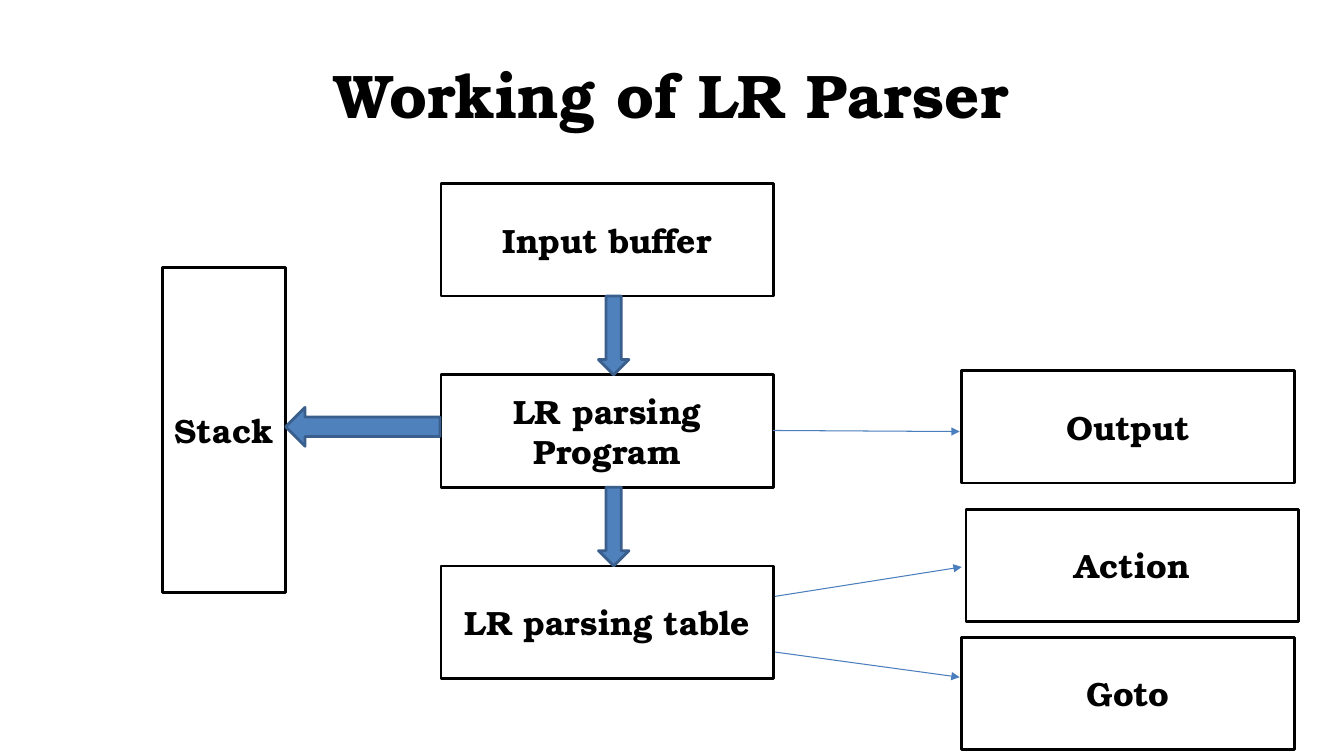
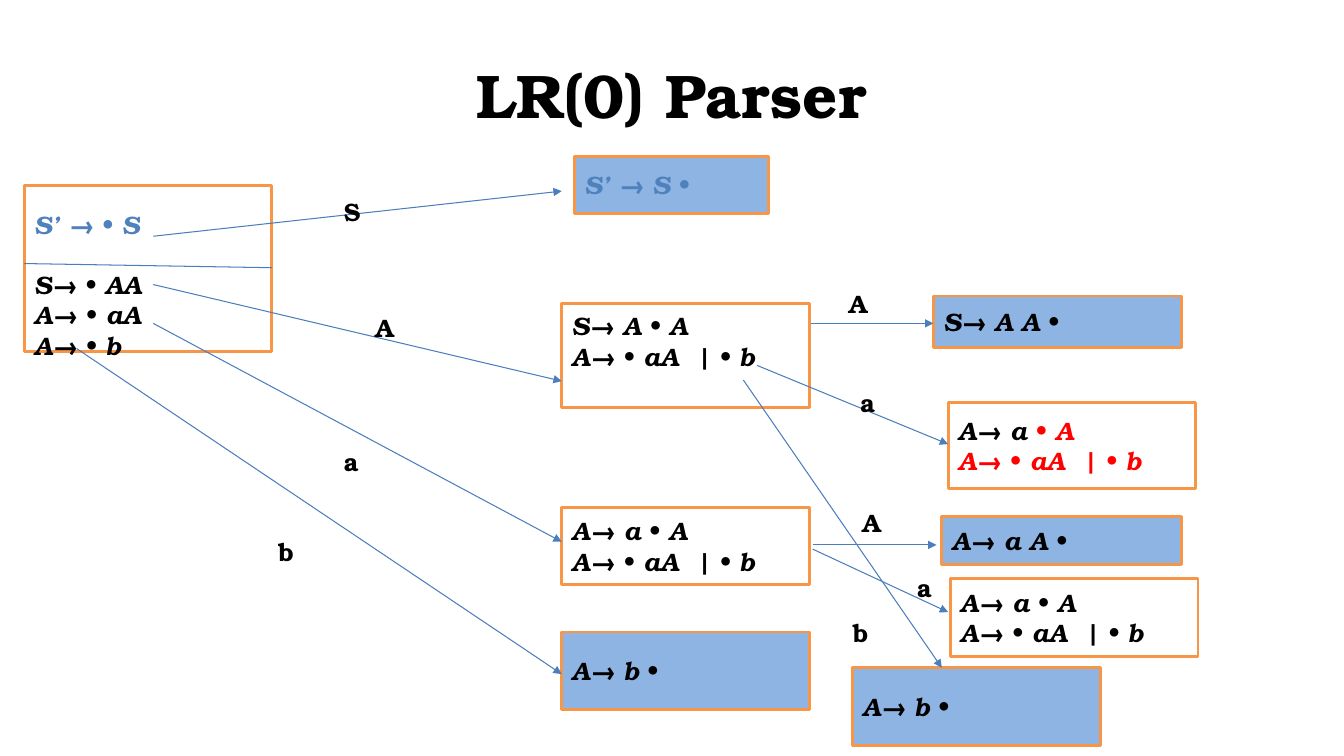
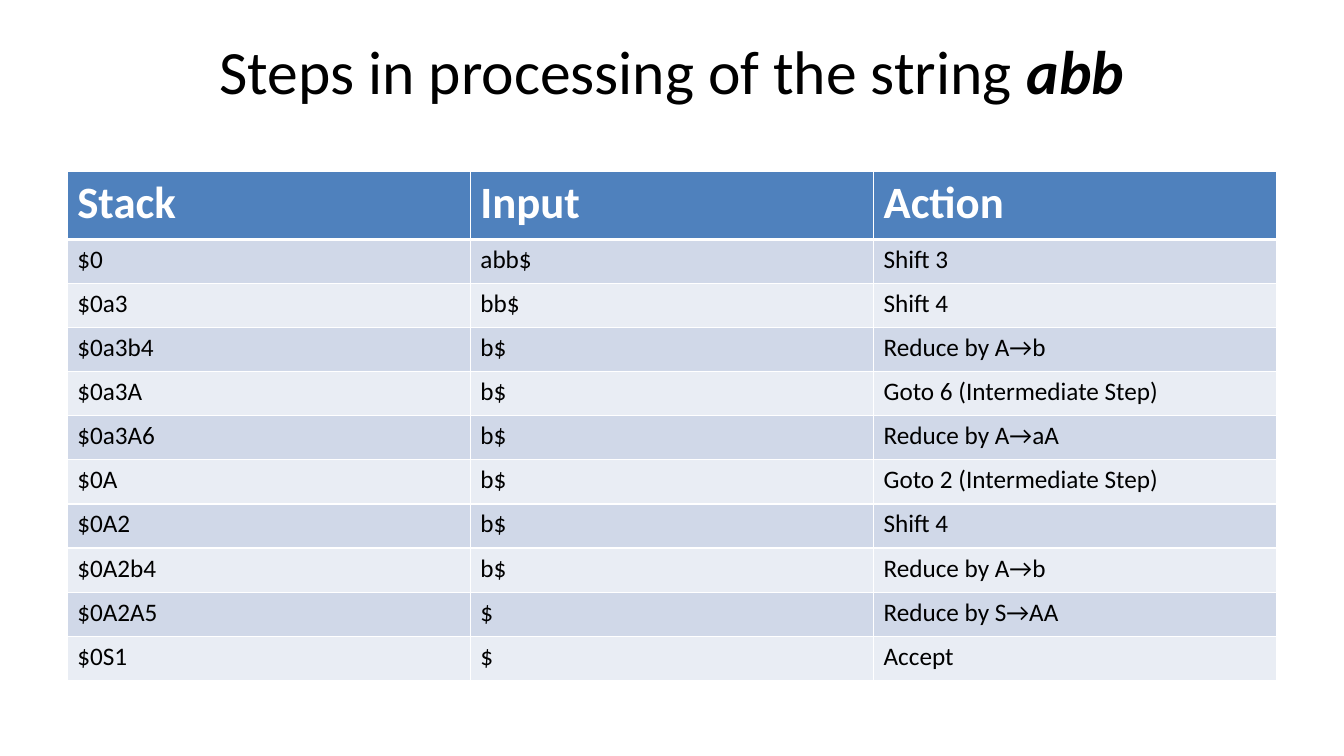
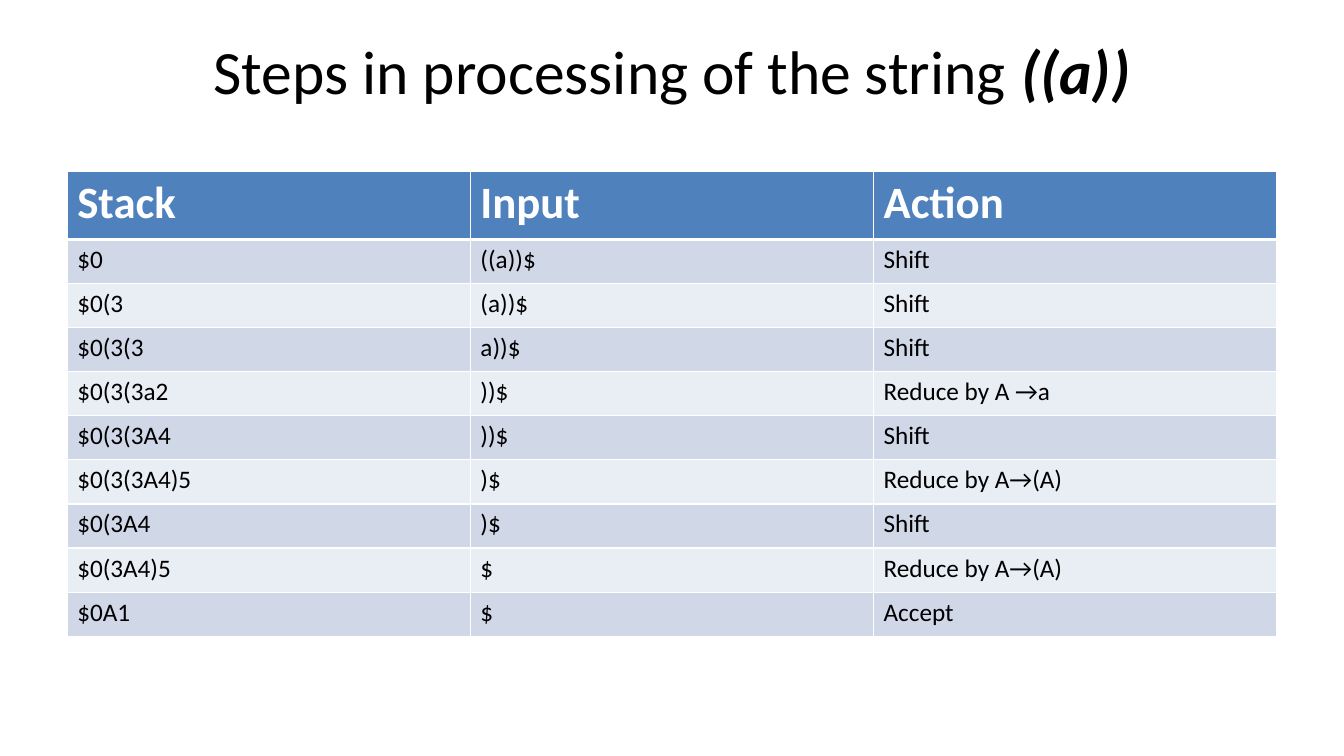
import lxml.etree
import pptx
import pptx.dml.color
import pptx.enum.shapes
import pptx.enum.text
import pptx.oxml.ns
import pptx.util

RGBColor = pptx.dml.color.RGBColor
BLACK = RGBColor(0x00, 0x00, 0x00)
WHITE = RGBColor(0xFF, 0xFF, 0xFF)
RED = RGBColor(0xFF, 0x00, 0x00)
BLUE = RGBColor(0x4F, 0x81, 0xBD)
DARK_BLUE = RGBColor(0x3A, 0x5F, 0x8C)
LINE_BLUE = RGBColor(0x4B, 0x7E, 0xBC)
LIGHT_BLUE = RGBColor(0x8E, 0xB4, 0xE3)
ORANGE = RGBColor(0xF7, 0x96, 0x46)
BAND_DARK = RGBColor(0xD0, 0xD8, 0xE8)
BAND_LIGHT = RGBColor(0xE9, 0xED, 0xF4)

SERIF = "TeX Gyre Bonum"
SANS = "Calibri"
SHAPES = pptx.enum.shapes.MSO_SHAPE
ALIGN = pptx.enum.text.PP_ALIGN
ANCHOR = pptx.enum.text.MSO_ANCHOR
qn = pptx.oxml.ns.qn

TITLE_ONLY = 5
MARGIN = 64
CONTENT_WIDTH = 1152
STATE_WIDTH = 236
STATE_HEIGHT = 74
STATE_LINE = 21.6


def px(length):
    return pptx.util.Emu(length * 9525)


def format_font(font, name, size, color, bold=False, italic=False):
    font.name = name
    font.size = pptx.util.Pt(size)
    font.color.rgb = color
    font.bold = bold
    font.italic = italic


def add_titled_slide(presentation, text, height, name, bold, emphasis=""):
    slide = presentation.slides.add_slide(presentation.slide_layouts[TITLE_ONLY])
    title = slide.shapes.title
    title.left, title.top = px(MARGIN), px(29)
    title.width, title.height = px(CONTENT_WIDTH), px(height)
    title.text_frame.text = text
    title.text_frame.vertical_anchor = ANCHOR.MIDDLE
    paragraph = title.text_frame.paragraphs[0]
    paragraph.alignment = ALIGN.CENTER
    format_font(paragraph.runs[0].font, name, 44, BLACK, bold)
    if emphasis:
        run = paragraph.add_run()
        run.text = emphasis
        format_font(run.font, name, 44, BLACK, True, True)
    return slide


def add_block(slide, kind, left, top, width, height, fill, outline):
    shape = slide.shapes.add_shape(kind, px(left), px(top), px(width), px(height))
    shape.shadow.inherit = False
    shape.fill.solid()
    shape.fill.fore_color.rgb = fill
    shape.line.color.rgb = outline
    shape.line.width = pptx.util.Pt(2)
    shape.text_frame.word_wrap = True
    shape.text_frame.vertical_anchor = ANCHOR.MIDDLE
    return shape


def add_line(slide, left, top, ends, arrow=True):
    start_x, start_y, end_x, end_y = ends
    connector = slide.shapes.add_connector(
        pptx.enum.shapes.MSO_CONNECTOR.STRAIGHT,
        px(left + start_x), px(top + start_y), px(left + end_x), px(top + end_y))
    connector.line.color.rgb = LINE_BLUE
    connector.line.width = pptx.util.Pt(0.75)
    properties = connector._element.spPr
    if arrow:
        line = properties.find(qn("a:ln"))
        lxml.etree.SubElement(line, qn("a:tailEnd"), type="triangle")
    lxml.etree.SubElement(properties, qn("a:effectLst"))


def add_component(slide, left, top, text, width=317, height=107):
    shape = add_block(slide, SHAPES.RECTANGLE, left, top, width, height, WHITE, BLACK)
    shape.text_frame.text = text
    paragraph = shape.text_frame.paragraphs[0]
    paragraph.alignment = ALIGN.CENTER
    format_font(paragraph.runs[0].font, SERIF, 24, BLACK, True)


def add_parser_diagram(slide, left, top):
    column, pitch, height = left + 265, 182, 107
    for row, text in enumerate(["Input buffer", "LR parsing Program", "LR parsing table"]):
        add_component(slide, column, top + row * pitch, text)
    add_component(slide, left, top + 80, "Stack", 117, 309)
    for row in range(2):
        add_block(slide, SHAPES.DOWN_ARROW, left + 415, top + row * pitch + height,
                  29, pitch - height, BLUE, DARK_BLUE)
    add_block(slide, SHAPES.LEFT_ARROW, left + 117, top + 213, 147, 37, BLUE, DARK_BLUE)
    for x, y, text in [(761, 178, "Output"), (765, 310, "Action"), (761, 432, "Goto")]:
        add_component(slide, left + x, top + y, text)
    for ends in [(581, 235, 759, 236), (583, 393, 761, 365), (583, 446, 759, 470)]:
        add_line(slide, left, top, ends)


def add_state(slide, left, top, lines, width=STATE_WIDTH, height=STATE_HEIGHT,
              complete=False, inset=None, tint=(BLACK, 0, 0), gap_after_first=0):
    fill = LIGHT_BLUE if complete else WHITE
    shape = add_block(slide, SHAPES.RECTANGLE, left, top, width, height, fill, ORANGE)
    frame = shape.text_frame
    if inset is not None:
        frame.vertical_anchor = ANCHOR.TOP
        frame.margin_top = px(inset)
    frame.text = "\n".join(lines)
    tint_color, tint_start, tint_stop = tint
    position = 0
    for row, paragraph in enumerate(frame.paragraphs):
        paragraph.alignment = ALIGN.JUSTIFY
        if row == 1:
            paragraph.space_before = pptx.util.Pt(gap_after_first)
        before, *after = paragraph.text.split("•")
        paragraph.runs[0].text = before
        for part in after:
            for text in ("• ", part.strip(" ") + " " * part.endswith(" ")):
                if text:
                    paragraph.add_run().text = text
        for run in paragraph.runs:
            emphasized = "•" not in run.text
            color = tint_color if tint_start <= position < tint_stop else BLACK
            format_font(run.font, SERIF, 18, color, emphasized, emphasized)
            position += 1


def add_symbol(slide, left, top, text):
    box = slide.shapes.add_textbox(px(left), px(top), px(92), px(38))
    box.text_frame.word_wrap = True
    box.text_frame.text = text
    format_font(box.text_frame.paragraphs[0].runs[0].font, SERIF, 18, BLACK, True)


def add_automaton(slide, left, top):
    shift_a = ["A→ a • A", "A→ • aA  | • b"]
    reduce_b = ["A→ b •"]
    states = [
        (0, 28, ["S’ → • S", "S→ • AA", "A→ • aA", "A→ • b"],
         {"height": 158, "inset": 22, "tint": (BLUE, 0, 3), "gap_after_first": STATE_LINE}),
        (524, 0, ["S’ → S •"],
         {"width": 185, "height": 54, "complete": True, "tint": (BLUE, 0, 2)}),
        (512, 140, ["S→ A • A", "A→ • aA  | • b"], {"height": 99, "inset": 7}),
        (512, 334, shift_a, {}),
        (512, 453, reduce_b, {"complete": True}),
        (866, 133, ["S→ A A •"], {"height": 49, "complete": True}),
        (880, 234, shift_a, {"height": 82, "tint": (RED, 1, 8)}),
        (789, 487, reduce_b, {"complete": True}),
        (874, 343, ["A→ a A •"], {"width": 228, "height": 46, "complete": True}),
        (882, 402, shift_a, {}),
    ]
    transitions = [
        ("S", 295, 33, (123, 76, 512, 33)),
        ("A", 325, 144, (123, 122, 512, 214)),
        ("a", 295, 271, (123, 159, 512, 367)),
        ("b", 233, 357, (50, 183, 512, 493)),
        ("A", 776, 121, (749, 159, 866, 159)),
        ("a", 787, 215, (698, 199, 880, 274)),
        ("b", 780, 434, (685, 213, 874, 487)),
        ("A", 789, 329, (751, 370, 869, 370)),
        ("a", 841, 391, (751, 374, 880, 434)),
    ]
    for x, y, lines, options in states:
        add_state(slide, left + x, top + y, lines, **options)
    add_line(slide, left, top, (0, 102, STATE_WIDTH, 106), arrow=False)
    for symbol, x, y, ends in transitions:
        add_line(slide, left, top, ends)
        add_symbol(slide, left + x, top + y, symbol)


def add_cell_borders(cell, bottom_width):
    properties = cell._tc.get_or_add_tcPr()
    for side, width in [("L", 1), ("R", 1), ("T", 1), ("B", bottom_width)]:
        line = lxml.etree.SubElement(
            properties, qn("a:ln" + side), w=str(pptx.util.Pt(width)))
        fill = lxml.etree.SubElement(line, qn("a:solidFill"))
        lxml.etree.SubElement(fill, qn("a:srgbClr"), val=str(WHITE))


def add_steps_table(slide, left, top, width, steps):
    header_height, row_height = 65, 42
    rows = [("Stack", "Input", "Action")] + steps
    frame = slide.shapes.add_table(
        len(rows), 3, px(left), px(top), px(width),
        px(header_height + row_height * len(steps)))
    table = frame.table
    for row_index, values in enumerate(rows):
        header = row_index == 0
        table.rows[row_index].height = px(header_height if header else row_height)
        band = BLUE if header else (BAND_LIGHT, BAND_DARK)[row_index % 2]
        for column_index, value in enumerate(values):
            cell = table.cell(row_index, column_index)
            add_cell_borders(cell, 3 if header or row_index < 0 else 1)
            if row_index == 1:
                cell._tc.tcPr.find(qn("a:lnT")).set("w", str(pptx.util.Pt(3)))
            cell.fill.solid()
            cell.fill.fore_color.rgb = band
            cell.text_frame.text = value
            format_font(cell.text_frame.paragraphs[0].runs[0].font, SANS,
                        32 if header else 18, WHITE if header else BLACK, header)


def add_steps_slide(presentation, string, steps):
    slide = add_titled_slide(
        presentation, "Steps in processing of the string ", 76, SANS, False, string)
    add_steps_table(slide, MARGIN, 163, CONTENT_WIDTH, steps)


def main():
    presentation = pptx.Presentation()
    presentation.slide_width, presentation.slide_height = px(1280), px(720)

    slide = add_titled_slide(presentation, "Working of LR Parser", 120, SERIF, True)
    add_parser_diagram(slide, 155, 175)

    slide = add_titled_slide(presentation, "LR(0) Parser", 120, SERIF, True)
    add_automaton(slide, 23, 149)

    add_steps_slide(presentation, "abb", [
        ("$0", "abb$", "Shift 3"),
        ("$0a3", "bb$", "Shift 4"),
        ("$0a3b4", "b$", "Reduce by A→b"),
        ("$0a3A", "b$", "Goto 6 (Intermediate Step)"),
        ("$0a3A6", "b$", "Reduce by A→aA"),
        ("$0A", "b$", "Goto 2 (Intermediate Step)"),
        ("$0A2", "b$", "Shift 4"),
        ("$0A2b4", "b$", "Reduce by A→b"),
        ("$0A2A5", "$", "Reduce by S→AA"),
        ("$0S1", "$", "Accept"),
    ])
    add_steps_slide(presentation, "((a))", [
        ("$0", "((a))$", "Shift"),
        ("$0(3", "(a))$", "Shift"),
        ("$0(3(3", "a))$", "Shift"),
        ("$0(3(3a2", "))$", "Reduce by A →a"),
        ("$0(3(3A4", "))$", "Shift"),
        ("$0(3(3A4)5", ")$", "Reduce by A→(A)"),
        ("$0(3A4", ")$", "Shift"),
        ("$0(3A4)5", "$", "Reduce by A→(A)"),
        ("$0A1", "$", "Accept"),
    ])
    presentation.save("out.pptx")


if __name__ == "__main__":
    main()
